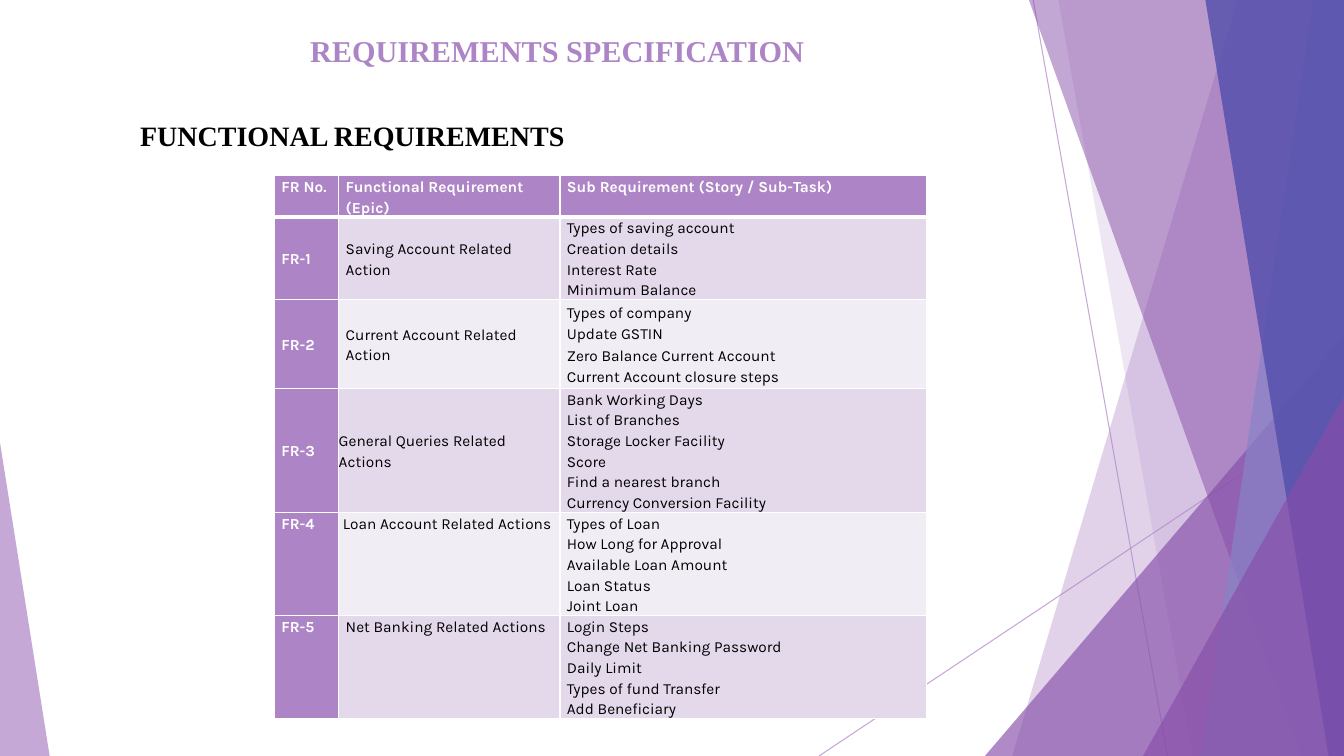
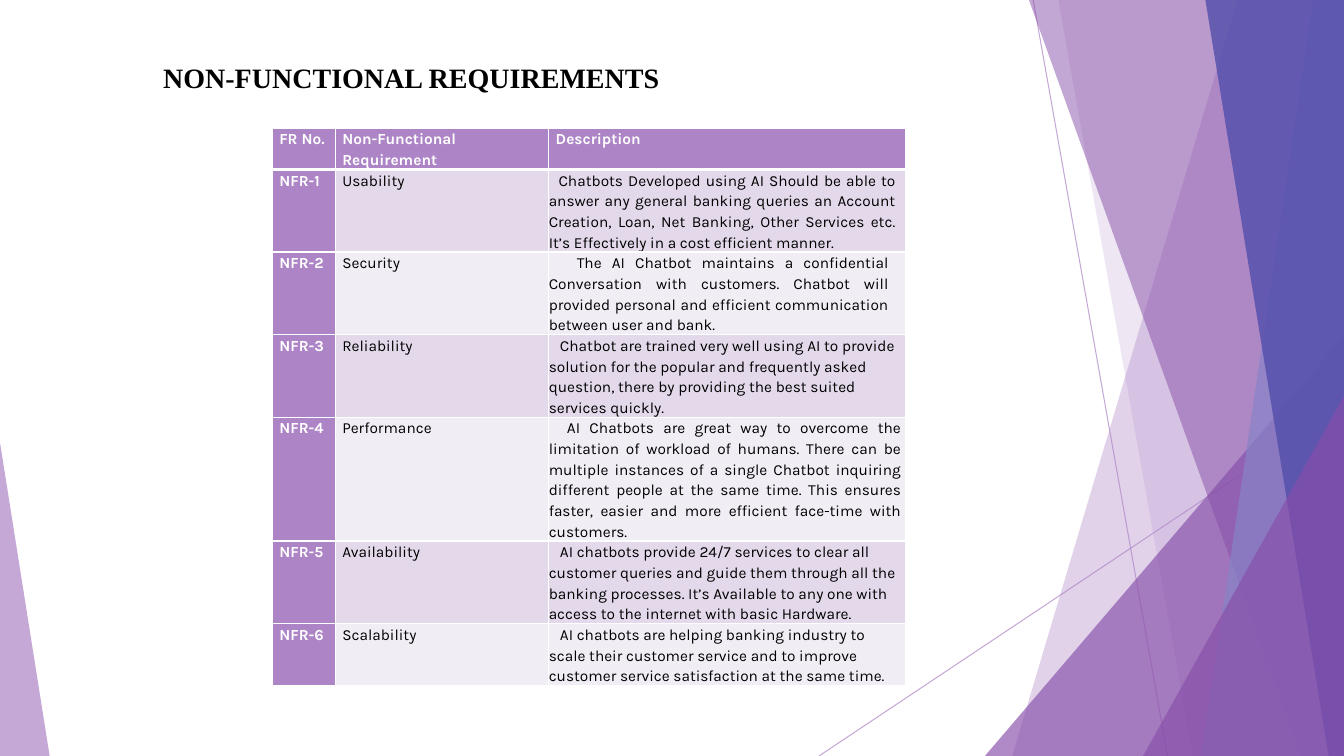
from lxml.etree import SubElement
from pptx import Presentation
from pptx.dml.color import RGBColor
from pptx.enum.shapes import MSO_CONNECTOR, MSO_SHAPE
from pptx.enum.text import MSO_ANCHOR, MSO_AUTO_SIZE, PP_ALIGN
from pptx.oxml import parse_xml
from pptx.oxml.ns import nsdecls, qn
from pptx.util import Pt

WIDTH, HEIGHT = 960, 540
LILAC = RGBColor(0xAD, 0x84, 0xC6)
PURPLE = RGBColor(0x87, 0x4E, 0xA9)
PERIWINKLE = RGBColor(0x87, 0x84, 0xC7)
INDIGO = RGBColor(0x52, 0x4E, 0xAB)
ODD_ROW = RGBColor(0xE3, 0xD9, 0xEA)
EVEN_ROW = RGBColor(0xF1, 0xED, 0xF5)
WHITE = RGBColor(0xFF, 0xFF, 0xFF)
BLACK = RGBColor(0, 0, 0)
HEADING = {"font": "Times New Roman", "size": 20, "bold": True}


def write(frame, text, font="Karla", size=11, color=BLACK, bold=False, align=PP_ALIGN.LEFT,
          left=0, first=0, right=0, spacing=1.0, after=0):
    frame.word_wrap = True
    for index, line in enumerate(text.split("\n")):
        para = frame.add_paragraph() if index else frame.paragraphs[0]
        para.alignment = align
        para.line_spacing = spacing
        para.space_before = Pt(0)
        para.space_after = Pt(after)
        properties = para._p.get_or_add_pPr()
        for name, value in (("marL", left), ("marR", right), ("indent", first)):
            properties.set(name, str(Pt(value)))
        span = para.add_run()
        span.text = line
        span.font.name = font
        span.font.size = Pt(size)
        span.font.bold = bold
        span.font.color.rgb = color


def place_heading(box, left, top, width, height, text, **style):
    box.left, box.top, box.width, box.height = Pt(left), Pt(top), Pt(width), Pt(height)
    frame = box.text_frame
    frame.auto_size = MSO_AUTO_SIZE.NONE
    frame.vertical_anchor = MSO_ANCHOR.MIDDLE
    frame.margin_left = frame.margin_right = frame.margin_top = frame.margin_bottom = 0
    write(frame, text, **style)


deck = Presentation()
deck.slide_width, deck.slide_height = Pt(WIDTH), Pt(HEIGHT)
layout = deck.slide_layouts[5]
functional = deck.slides.add_slide(layout)
non_functional = deck.slides.add_slide(layout)

decorations = []
for start_x, start_y, end_x, end_y in ((738, 0, 834, HEIGHT), (WIDTH, 290, 585, HEIGHT)):
    line = functional.shapes.add_connector(
        MSO_CONNECTOR.STRAIGHT, Pt(start_x), Pt(start_y), Pt(end_x), Pt(end_y))
    line.line.color.rgb = LILAC
    line.line.width = Pt(0.75)
    SubElement(line.element.spPr, qn("a:effectLst"))
    decorations.append((line, 70))

FACETS = [
    ("band", (884, 723), LILAC, 36),
    ("band", (756, 852), LILAC, 20),
    ("triangle", (703.5, 240, 256.5, 1), PURPLE, 66),
    ("band", (735, 929.5), PURPLE, 50),
    ("band", (938, 858), PERIWINKLE, 70),
    ("band", (861, 949), INDIGO, 80),
    ("triangle", (816.5, 283, 143.5, 1), PURPLE, 66),
    ("triangle", (0, 316, 35.5, 0), LILAC, 70),
]
for kind, numbers, color, opacity in FACETS:
    if kind == "band":
        top_x, bottom_x = numbers
        builder = functional.shapes.build_freeform(Pt(top_x), 0)
        builder.add_line_segments(
            [(Pt(WIDTH), 0), (Pt(WIDTH), Pt(HEIGHT)), (Pt(bottom_x), Pt(HEIGHT))], close=True)
        facet = builder.convert_to_shape()
    else:
        left, top, width, apex = numbers
        facet = functional.shapes.add_shape(
            MSO_SHAPE.ISOSCELES_TRIANGLE, Pt(left), Pt(top), Pt(width), Pt(HEIGHT - top))
        facet.adjustments[0] = apex
    facet.shadow.inherit = False
    facet.fill.solid()
    facet.fill.fore_color.rgb = color
    facet.line.fill.background()
    decorations.append((facet, opacity))

for number, (shape, opacity) in enumerate(decorations, 100):
    for color in shape.element.iter(qn("a:srgbClr")):
        SubElement(color, qn("a:alpha"), val=str(opacity * 1000))
    shape.element.xpath("./*/p:cNvPr")[0].set("id", str(number))
    layout.shapes.element.append(shape.element)

place_heading(functional.shapes.title, 221.5, 19, 435, 34, "REQUIREMENTS SPECIFICATION",
              **{**HEADING, "size": 21.6, "color": LILAC})
place_heading(functional.shapes.add_textbox(0, 0, 0, 0), 100, 84, 600, 26,
              "FUNCTIONAL REQUIREMENTS", **HEADING)
place_heading(non_functional.shapes.title, 116.5, 42, 400, 26,
              "NON-FUNCTIONAL REQUIREMENTS", **HEADING)

INDENT = {"left": 5}
JUSTIFY = PP_ALIGN.JUSTIFY
TOP, MIDDLE = MSO_ANCHOR.TOP, MSO_ANCHOR.MIDDLE
FUNCTIONAL_ROWS = [
    (29, TOP, "FR No.", "Functional Requirement (Epic)", INDENT,
     "Sub Requirement (Story / Sub-Task)", INDENT),
    (59, MIDDLE, "FR-1", "Saving Account Related Action", INDENT,
     "Types of saving account\nCreation details\nInterest Rate\nMinimum Balance", INDENT),
    (63.5, MIDDLE, "FR-2", "Current Account Related Action", INDENT,
     "Types of company\nUpdate GSTIN\nZero Balance Current Account\n"
     "Current Account closure steps", {"left": 5, "after": 0.6}),
    (88, MIDDLE, "FR-3", "General Queries Related Actions", {},
     "Bank Working Days\nList of Branches\nStorage Locker Facility\nScore\n"
     "Find a nearest branch\nCurrency Conversion Facility", INDENT),
    (73.5, TOP, "FR-4", "Loan Account Related Actions", {"first": 3},
     "Types of Loan\nHow Long for Approval\nAvailable Loan Amount\nLoan Status\nJoint Loan",
     INDENT),
    (73.5, TOP, "FR-5", "Net Banking Related Actions", INDENT,
     "Login Steps\nChange Net Banking Password\nDaily Limit\nTypes of fund Transfer\n"
     "Add Beneficiary", INDENT),
]
NON_FUNCTIONAL_ROWS = [
    (29, TOP, "FR No.", "Non-Functional Requirement", INDENT, "Description", INDENT),
    (59, TOP, "NFR-1", "Usability", INDENT,
     "Chatbots Developed using AI Should be able to answer any general banking queries an "
     "Account Creation, Loan, Net Banking, Other Services etc. It’s Effectively in a cost "
     "efficient manner.", {"first": 7, "right": 4, "align": JUSTIFY}),
    (59, TOP, "NFR-2", "Security", INDENT,
     "The AI Chatbot maintains a confidential Conversation with customers. Chatbot will "
     "provided personal and efficient communication between user and bank.",
     {"first": 20, "right": 9, "align": JUSTIFY}),
    (59, TOP, "NFR-3", "Reliability", INDENT,
     "Chatbot are trained very well using AI to provide solution for the popular and "
     "frequently asked question, there by providing the best suited services quickly.",
     {"first": 8}),
    (88, TOP, "NFR-4", "Performance", INDENT,
     "AI Chatbots are great way to overcome the limitation of workload of humans. There can "
     "be multiple instances of a single Chatbot inquiring different people at the same time. "
     "This ensures faster, easier and more efficient face-time with customers.",
     {"first": 13, "align": JUSTIFY}),
    (59, TOP, "NFR-5", "Availability", INDENT,
     "AI chatbots provide 24/7 services to clear all customer queries and guide them through "
     "all the banking processes. It’s Available to any one with access to the internet with "
     "basic Hardware.", {"first": 8}),
    (44, TOP, "NFR-6", "Scalability", INDENT,
     "AI chatbots are helping banking industry to scale their customer service and to improve "
     "customer service satisfaction at the same time.", {"first": 8}),
]
TABLES = [
    (functional, 196, 125.5, (46, 158, 262), 6, FUNCTIONAL_ROWS),
    (non_functional, 194.5, 91.5, (45, 152.5, 255), 3, NON_FUNCTIONAL_ROWS),
]
for slide, left, top, widths, right_margin, rows in TABLES:
    table = slide.shapes.add_table(
        len(rows), len(widths), Pt(left), Pt(top), Pt(sum(widths)),
        Pt(sum(row[0] for row in rows))).table
    for column, width in zip(table.columns, widths):
        column.width = Pt(width)
    for row_index, (height, anchor, number, name, name_style, detail, detail_style) in enumerate(rows):
        table.rows[row_index].height = Pt(height)
        contents = ((number, INDENT), (name, name_style), (detail, detail_style))
        for column_index, (text, style) in enumerate(contents):
            cell = table.cell(row_index, column_index)
            accent = row_index == 0 or column_index == 0
            cell.margin_left = cell.margin_top = cell.margin_bottom = 0
            cell.margin_right = Pt(right_margin)
            cell.vertical_anchor = anchor
            write(cell.text_frame, text, color=WHITE if accent else BLACK, bold=accent,
                  spacing=1.15, **style)
            cell.fill.solid()
            cell.fill.fore_color.rgb = LILAC if accent else ODD_ROW if row_index % 2 else EVEN_ROW
            borders = (("lnL", 1), ("lnR", 1), ("lnT", 3 if row_index == 1 else 1),
                       ("lnB", 3 if row_index == 0 else 1))
            for position, (side, weight) in enumerate(borders):
                cell._tc.get_or_add_tcPr().insert(position, parse_xml(
                    f'<a:{side} {nsdecls("a")} w="{Pt(weight)}"><a:solidFill>'
                    f'<a:srgbClr val="{WHITE}"/></a:solidFill></a:{side}>'))

deck.save("out.pptx")
